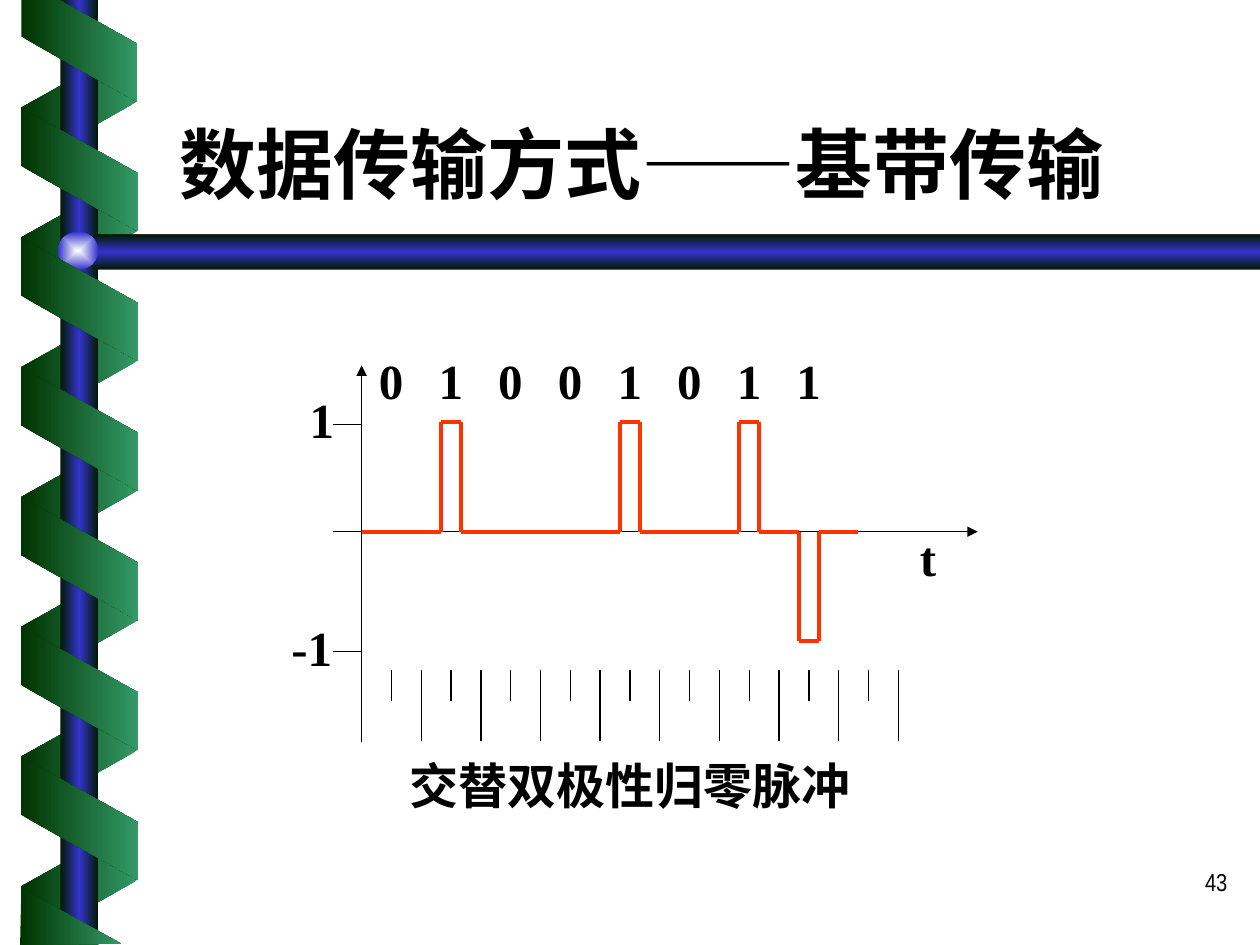
from pptx import Presentation
from pptx.dml.color import RGBColor
from pptx.enum.shapes import MSO_CONNECTOR, MSO_SHAPE
from pptx.enum.text import MSO_ANCHOR, PP_ALIGN
from pptx.oxml import parse_xml
from pptx.oxml.ns import nsdecls, qn
from pptx.util import Inches, Pt

LINE = MSO_CONNECTOR.STRAIGHT
RECT, OVAL, SLANT = MSO_SHAPE.RECTANGLE, MSO_SHAPE.OVAL, MSO_SHAPE.PARALLELOGRAM
LEFT, CENTER, RIGHT = PP_ALIGN.LEFT, PP_ALIGN.CENTER, PP_ALIGN.RIGHT
TOP, BOTTOM = MSO_ANCHOR.TOP, MSO_ANCHOR.BOTTOM

BLACK = RGBColor(0x00, 0x00, 0x00)
RED = RGBColor(0xFF, 0x33, 0x00)
DARK_GREEN = RGBColor(0x00, 0x33, 0x00)
GREEN = RGBColor(0x33, 0x99, 0x66)
NIGHT = RGBColor(0x00, 0x1A, 0x00)
BLUE = RGBColor(0x33, 0x33, 0xCC)
WHITE = RGBColor(0xFE, 0xFF, 0xFF)

RIBBON = (DARK_GREEN, GREEN)
TUBE = (NIGHT, BLUE, NIGHT)
TURN = 1.03
BITS = "01001011"
LEVELS = (0, 1, 0, 0, 1, 0, 1, -1)
X0, ZERO, PULSE = 2.87, 4.22, 0.87
BIT = 4.26 / 9


def write(tf, text, font="Times New Roman", size=28, bold=True, align=CENTER, anchor=TOP):
    tf.word_wrap = True
    tf.vertical_anchor = anchor
    p = tf.paragraphs[0]
    p.alignment = align
    r = p.add_run()
    r.text = text
    r.font.name = font
    r.font.size = Pt(size)
    r.font.bold = bold
    r.font.color.rgb = BLACK


class Deck:
    def __init__(self):
        self.prs = Presentation()
        self.prs.slide_width, self.prs.slide_height = Inches(10), Inches(7.5)
        self.s = self.prs.slides.add_slide(self.prs.slide_layouts[6])

    def paint(self, sp, colors, angle=0, radial=False):
        sp.shadow.inherit = False
        sp.line.fill.background()
        sp.fill.gradient()
        last = len(colors) - 1
        stops = "".join(
            f'<a:gs pos="{100000 * i // last}"><a:srgbClr val="{c}"/></a:gs>'
            for i, c in enumerate(colors))
        course = f'<a:lin ang="{angle * 60000}" scaled="1"/>'
        if radial:
            course = ('<a:path path="rect"><a:fillToRect l="50000" t="50000" '
                      'r="50000" b="50000"/></a:path>')
        props = sp.element.spPr
        props.replace(props.find(qn("a:gradFill")), parse_xml(
            f'<a:gradFill rotWithShape="0" {nsdecls("a")}>'
            f'<a:gsLst>{stops}</a:gsLst>{course}</a:gradFill>'))

    def shape(self, kind, x, y, w, h, colors, radial=False):
        sp = self.s.shapes.add_shape(kind, Inches(x), Inches(y), Inches(w), Inches(h))
        self.paint(sp, colors, radial=radial)
        return sp

    def ribbon(self, y, front):
        h = 0.93 if front else 0.92
        sp = self.shape(SLANT, 0.14, y, 0.98, h, RIBBON if front else RIBBON[::-1])
        sp.adjustments[0] = 0.56
        sp.rotation = 270 if front else 90
        if not front:
            sp.element.spPr.find(qn("a:xfrm")).set("flipH", "1")

    def outline(self, points, colors, angle=0):
        pts = [(Inches(x), Inches(y)) for x, y in points]
        fb = self.s.shapes.build_freeform(*pts[0])
        fb.add_line_segments(pts[1:], close=True)
        self.paint(fb.convert_to_shape(), colors, angle)

    def line(self, x1, y1, x2, y2, color=BLACK, width=0.75, arrow=False):
        c = self.s.shapes.add_connector(LINE, Inches(x1), Inches(y1), Inches(x2), Inches(y2))
        c.line.color.rgb = color
        c.line.width = Pt(width)
        if arrow:
            c.line._get_or_add_ln().append(
                parse_xml(f'<a:tailEnd type="triangle" {nsdecls("a")}/>'))
        c.element.spPr.append(parse_xml(f'<a:effectLst {nsdecls("a")}/>'))

    def wave(self, x1, y1, x2, y2):
        self.line(x1, y1, x2, y2, RED, 2.25)

    def text(self, x, y, w, h, text, **fmt):
        sp = self.s.shapes.add_textbox(Inches(x), Inches(y), Inches(w), Inches(h))
        write(sp.text_frame, text, **fmt)


def draw_frame(d):
    for i in range(7):
        d.ribbon(0.37 + i * TURN, front=False)
    d.shape(RECT, 0.48, 0, 0.3, 7.5, TUBE)
    d.outline([(10, 1.86), (0.76, 1.86), (0.6, 2), (0.76, 2.14), (10, 2.14)], TUBE, 90)
    d.shape(OVAL, 0.46, 1.84, 0.32, 0.3, (WHITE, BLUE), radial=True)
    for i in range(6):
        d.ribbon(0.88 + i * TURN, front=True)
    d.outline([(0.17, 0), (0.17, 0.29), (1.09, 0.81), (1.09, 0.35), (0.47, 0)], RIBBON)
    d.outline([(0.96, 7.49), (0.17, 7.05), (0.16, 7.5)], RIBBON)


def draw_axes(d):
    d.line(X0, 5.89, X0, 2.9, arrow=True)
    d.line(2.64, ZERO, 7.76, ZERO, arrow=True)
    for i in range(1, 19):
        x = X0 + i * BIT / 2
        d.line(x, 5.32, x, 5.56 if i % 2 else 5.88)
    for y in (3.37, 5.17):
        d.line(2.64, y, X0, y)
    d.text(2.16, 4.85, 0.63, 0.57, "-1")
    d.text(2.32, 3.04, 0.47, 0.57, "1")
    d.text(7.13, 4.14, 0.47, 0.57, "t")


def draw_signal(d):
    x = X0
    for i, (bit, level) in enumerate(zip(BITS, LEVELS)):
        d.text(X0 + i * BIT, 2.73, 0.47, 0.57, bit)
        if level:
            start = X0 + (i + 1 / 3) * BIT
            end = start + BIT / 3
            peak = ZERO - level * PULSE
            d.wave(x, ZERO, start, ZERO)
            d.wave(start, ZERO, start, peak)
            d.wave(start, peak, end, peak)
            d.wave(end, peak, end, ZERO)
            x = end
    d.wave(x, ZERO, 6.81, ZERO)


def main():
    d = Deck()
    draw_frame(d)
    d.text(7.76, 6.83, 2.08, 0.5, "43", font="Arial Narrow", size=14, bold=False, align=RIGHT)
    d.text(1.33, 0.46, 8.5, 1.25, "数据传输方式——基带传输",
           font="Arial Narrow", size=44, align=LEFT, anchor=BOTTOM)
    draw_axes(d)
    draw_signal(d)
    d.text(3.03, 5.95, 3.94, 0.57, "交替双极性归零脉冲")
    d.prs.save("out.pptx")


if __name__ == "__main__":
    main()
